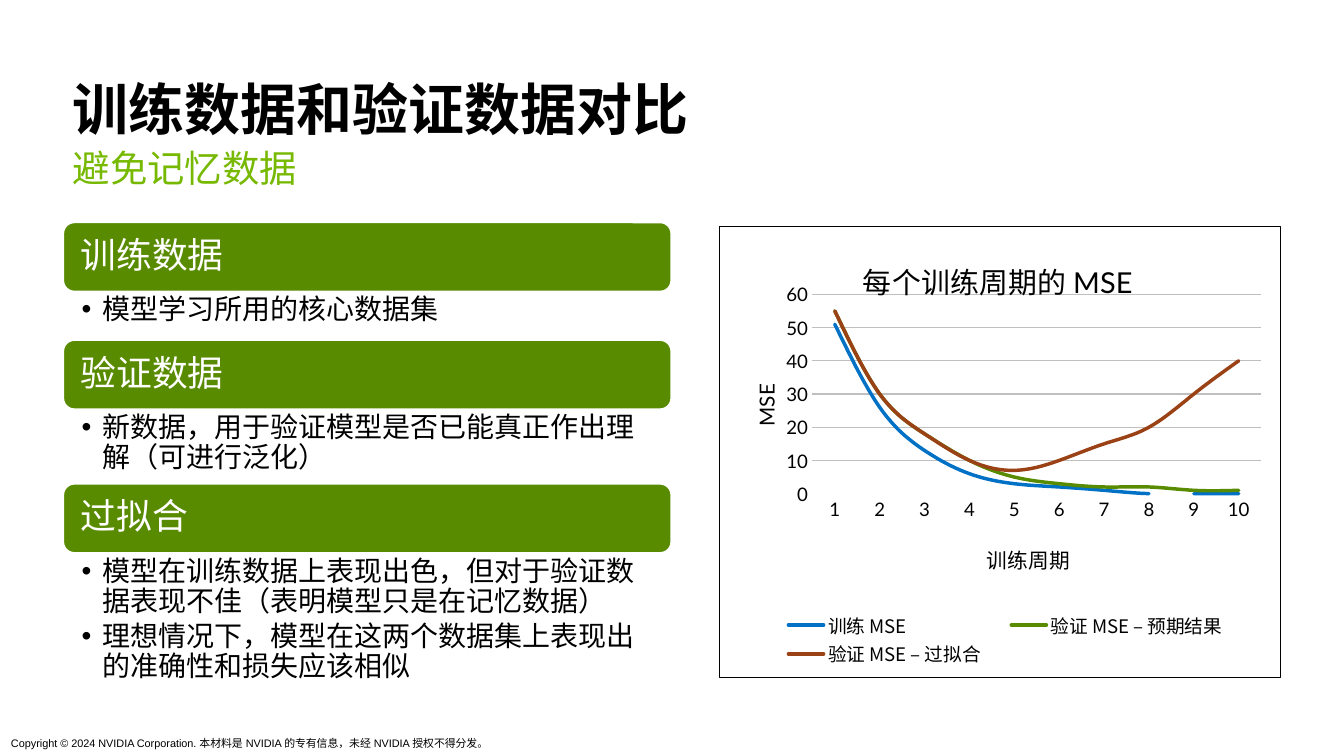
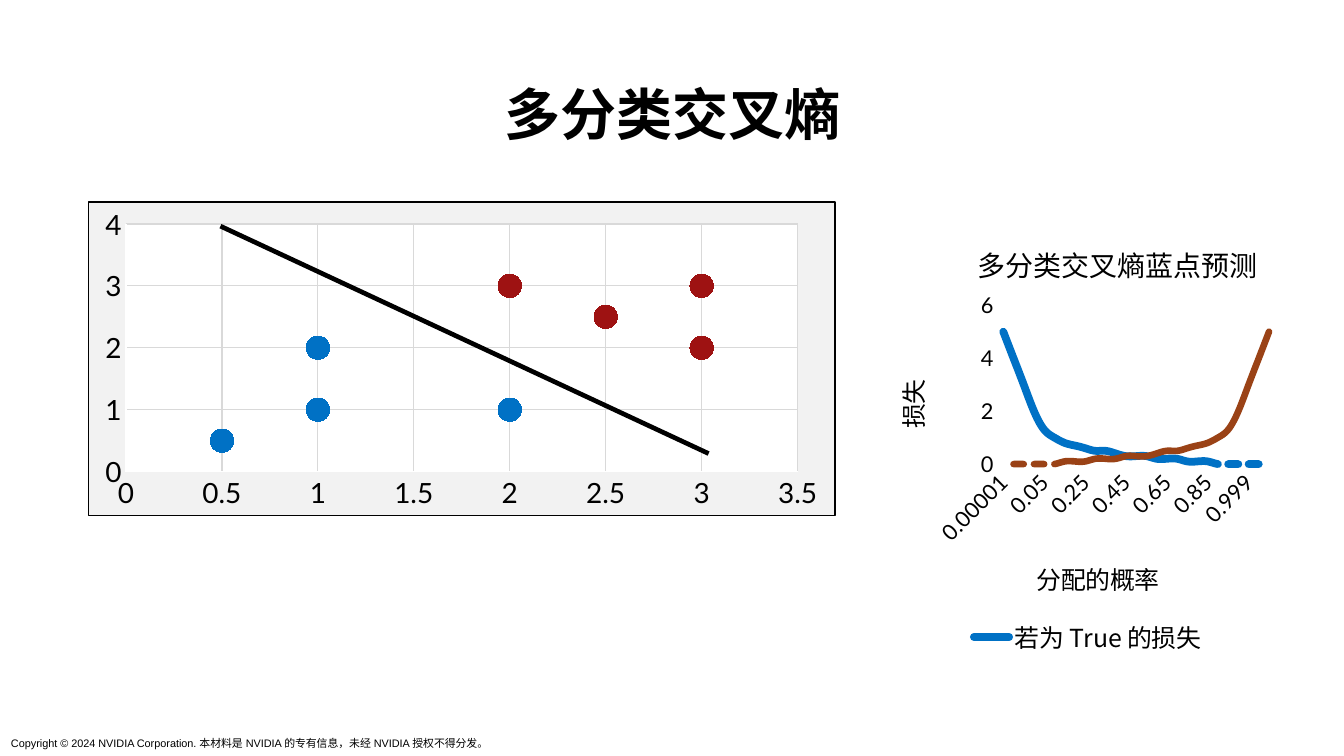
from lxml import etree
from pptx import Presentation
from pptx.chart.data import CategoryChartData, XyChartData
from pptx.dml.color import RGBColor
from pptx.enum.chart import XL_CHART_TYPE, XL_LEGEND_POSITION, XL_MARKER_STYLE, XL_TICK_MARK
from pptx.enum.shapes import MSO_CONNECTOR, MSO_SHAPE
from pptx.enum.text import MSO_ANCHOR, MSO_AUTO_SIZE, PP_ALIGN
from pptx.oxml import parse_xml
from pptx.oxml.ns import qn
from pptx.util import Cm, Pt

LINE, SCATTER = XL_CHART_TYPE.LINE, XL_CHART_TYPE.XY_SCATTER
NO_TICK, CIRCLE = XL_TICK_MARK.NONE, XL_MARKER_STYLE.CIRCLE
BOTTOM, MIDDLE, TOP = MSO_ANCHOR.BOTTOM, MSO_ANCHOR.MIDDLE, MSO_ANCHOR.TOP
LEFT, CENTER = PP_ALIGN.LEFT, PP_ALIGN.CENTER

BLACK, WHITE, GRAY = "000000", "FFFFFF", "BFBFBF"
LIME, GREEN, BLUE, BROWN, RED = "76B900", "598B00", "0071C5", "9A4216", "9E1212"
LATO, NOTO = "Lato", "Noto Sans CJK SC"
FOOTER = "Copyright © 2024 NVIDIA Corporation. 本材料是 NVIDIA 的专有信息，未经 NVIDIA 授权不得分发。"
NS = ('xmlns:c="http://schemas.openxmlformats.org/drawingml/2006/chart" '
      'xmlns:a="http://schemas.openxmlformats.org/drawingml/2006/main"')

SECTIONS = [
    ("训练数据", 1.07, ["模型学习所用的核心数据集"]),
    ("验证数据", 1.66, ["新数据，用于验证模型是否已能真正作出理解（可进行泛化）"]),
    ("过拟合", 3.3, ["模型在训练数据上表现出色，但对于验证数据表现不佳（表明模型只是在记忆数据）",
                  "理想情况下，模型在这两个数据集上表现出的准确性和损失应该相似"]),
]
MSE_SERIES = [
    ("训练 MSE", BLUE, 2.25, [51, 26, 13, 6, 3, 2, 1, 0, 0, 0]),
    ("验证 MSE – 预期结果", GREEN, 2.25, [55, 30, 18, 10, 5, 3, 2, 2, 1, 1]),
    ("验证 MSE – 过拟合", BROWN, 2.25, [55, 30, 18, 10, 7, 10, 15, 20, 30, 40]),
]
PROBABILITIES = (["0.00001", "0.0001", "0.001", "0.01"]
                 + [f"{i / 20:g}" for i in range(1, 20)]
                 + ["0.99", "0.999", "0.9999", "0.99999"])
LOSS_IF_TRUE = [5, 4, 3, 2, 1.3, 1, 0.8, 0.7, 0.6, 0.5, 0.5, 0.4, 0.3, 0.3,
                0.3, 0.2, 0.2, 0.2, 0.1, 0.1, 0.1, 0, 0, 0, 0, 0, 0]
LOSS_SERIES = [
    ("若为 True 的损失", BLUE, 5, LOSS_IF_TRUE),
    ("若为 False 的损失", BROWN, 4.25, LOSS_IF_TRUE[::-1]),
]
POINT_SERIES = [
    ("Series 1", BLUE, [(1, 1), (1, 2), (2, 1), (0.5, 0.5)]),
    ("Series 2", RED, [(2, 3), (3, 3), (3, 2), (2.5, 2.5)]),
]


def rgb(color):
    return RGBColor.from_string(color)


def set_font(font, size, color=BLACK, name=LATO, bold=False):
    font.size, font.bold, font.name = Pt(size), bold, name
    font.color.rgb = rgb(color)
    etree.SubElement(font._rPr, qn("a:ea"), typeface=name)


def set_line(line, color, width=0.75):
    line.color.rgb = rgb(color)
    line.width = Pt(width)


def add_run(p, text, *font, **options):
    r = p.add_run()
    r.text = text
    set_font(r.font, *font, **options)


def set_frame(tf, anchor=TOP, insets=(0.25, 0.13, 0.25, 0.13)):
    tf.word_wrap, tf.auto_size, tf.vertical_anchor = True, MSO_AUTO_SIZE.NONE, anchor
    tf.margin_left, tf.margin_top, tf.margin_right, tf.margin_bottom = map(Cm, insets)
    return tf


def add_text(slide, box, text, size, color=BLACK, name=LATO, spacing=0.9):
    tf = set_frame(slide.shapes.add_textbox(*map(Cm, box)).text_frame)
    p = tf.paragraphs[0]
    p.line_spacing = spacing
    add_run(p, text, size, color, name)


def add_slide(prs, title, box, align):
    """Add a title-only slide with the shared title style and footer."""
    slide = prs.slides.add_slide(prs.slide_layouts[5])
    sp = slide.shapes.title
    sp.left, sp.top, sp.width, sp.height = map(Cm, box)
    p = set_frame(sp.text_frame, BOTTOM).paragraphs[0]
    p.alignment, p.line_spacing = align, 0.9
    add_run(p, title, 36, bold=True)
    add_text(slide, (0, 16.59, 11.5, 0.56), FOOTER, 7, name="Arial", spacing=1)
    return slide


def add_bullet(p, text):
    pPr = p._p.get_or_add_pPr()
    pPr.set("marL", str(Cm(0.48)))
    pPr.set("indent", str(-Cm(0.48)))
    p.line_spacing, p.space_after = 0.9, Pt(3)
    etree.SubElement(etree.SubElement(pPr, qn("a:buClr")), qn("a:srgbClr"), val=BLACK)
    etree.SubElement(pPr, qn("a:buFont"), typeface="Arial")
    etree.SubElement(pPr, qn("a:buChar"), char="•")
    add_run(p, text, 18)


def add_sections(slide, box):
    """Stack green headers, each followed by its bullets, from the top of the box."""
    x, y, w, header_h = box
    for heading, body_h, bullets in SECTIONS:
        sp = slide.shapes.add_shape(MSO_SHAPE.ROUNDED_RECTANGLE, *map(Cm, (x, y, w, header_h)))
        sp.shadow.inherit = False
        sp.fill.solid()
        sp.fill.fore_color.rgb = rgb(GREEN)
        set_line(sp.line, WHITE, 2)
        p = set_frame(sp.text_frame, MIDDLE, (0.33, 0.25, 0.33, 0.25)).paragraphs[0]
        p.alignment, p.line_spacing = LEFT, 0.9
        add_run(p, heading, 23, WHITE)
        y += header_h
        body = slide.shapes.add_textbox(*map(Cm, (x, y, w, body_h)))
        tf = set_frame(body.text_frame, insets=(0.43, 0.08, 0.46, 0.08))
        for i, text in enumerate(bullets):
            add_bullet(tf.add_paragraph() if i else tf.paragraphs[0], text)
        y += body_h


def place(element, x, y, w=None, h=None):
    """Give a chart part a manual layout, as fractions of the chart."""
    for old in element.findall(qn("c:layout")):
        element.remove(old)
    inner = '<c:layoutTarget val="inner"/>' if element.tag == qn("c:plotArea") else ""
    sizes = "".join(f'<c:{k} val="{v}"/>' for k, v in (("w", w), ("h", h)) if v)
    layout = parse_xml(
        f'<c:layout {NS}><c:manualLayout>{inner}<c:xMode val="edge"/><c:yMode val="edge"/>'
        f'<c:x val="{x}"/><c:y val="{y}"/>{sizes}</c:manualLayout></c:layout>')
    before = [e for tag in ("tx", "legendPos", "legendEntry") for e in element.findall(qn("c:" + tag))]
    element.insert(len(before), layout)


def area_format(fill, border=None):
    paint = f'<a:solidFill><a:srgbClr val="{fill}"/></a:solidFill>' if fill else "<a:noFill/>"
    line = f'<a:solidFill><a:srgbClr val="{border}"/></a:solidFill>' if border else "<a:noFill/>"
    return parse_xml(f'<c:spPr {NS}>{paint}<a:ln w="{Pt(0.75)}">{line}</a:ln></c:spPr>')


def add_chart(slide, kind, box, data, plot, fill=None, border=None):
    chart = slide.shapes.add_chart(kind, *map(Cm, box), data).chart
    set_font(chart.font, 10)
    chart.has_title = chart.has_legend = False
    chart.plots[0].vary_by_categories = False
    c_chart = chart._chartSpace.chart
    c_chart.addnext(area_format(fill, border))
    place(c_chart.plotArea, *plot)
    return chart


def style_axis(axis, size, line=None, grid=None, top=None, step=None):
    axis.major_tick_mark = axis.minor_tick_mark = NO_TICK
    set_font(axis.tick_labels.font, size)
    if line:
        set_line(axis.format.line, line)
    else:
        axis.format.line.fill.background()
    axis.has_major_gridlines = grid is not None
    if grid:
        set_line(axis.major_gridlines.format.line, grid)
    if top:
        axis.minimum_scale, axis.maximum_scale, axis.major_unit = 0, top, step


def set_title(title, runs, size, position, rotation=0):
    tf = title.text_frame
    for text, name in runs:
        add_run(tf.paragraphs[0], text, size, name=name)
    tf._txBody.bodyPr.set("rot", str(rotation * 60000))
    place(title._element, *position)


def add_curves(slide, box, categories, series, plot, border=None):
    data = CategoryChartData()
    data.categories = categories
    for name, _, _, values in series:
        data.add_series(name, values)
    chart = add_chart(slide, LINE, box, data, plot, border=border)
    for s, (_, color, width, _) in zip(chart.plots[0].series, series):
        s.smooth = True
        set_line(s.format.line, color, width)
        s.format.line._get_or_add_ln().set("cap", "rnd")
    return chart


def add_legend(chart, size, position):
    chart.has_legend = True
    legend = chart.legend
    legend.position, legend.include_in_layout = XL_LEGEND_POSITION.BOTTOM, False
    set_font(legend.font, size, name=NOTO)
    place(legend._element, *position)


def add_mse_chart(slide, box):
    chart = add_curves(slide, box, [str(i) for i in range(1, 11)], MSE_SERIES,
                       (0.166, 0.15, 0.8, 0.442), BLACK)
    epochs, mse = chart.category_axis, chart.value_axis
    style_axis(epochs, 12, WHITE)
    style_axis(mse, 12, grid=GRAY, top=60, step=10)
    set_title(chart.chart_title, [("每个训练周期的 ", NOTO), ("MSE", LATO)], 18.6, (0.25, 0.06))
    set_title(epochs.axis_title, [("训练周期", NOTO)], 13.3, (0.47, 0.69))
    set_title(mse.axis_title, [("MSE", LATO)], 13.3, (0.05, 0.34), -90)
    add_legend(chart, 12, (0.08, 0.85, 0.86, 0.13))


def add_loss_chart(slide, box):
    chart = add_curves(slide, box, PROBABILITIES, LOSS_SERIES, (0.33, 0.21, 0.65, 0.34))
    probability, loss = chart.category_axis, chart.value_axis
    style_axis(probability, 14, WHITE)
    style_axis(loss, 14, grid=WHITE, top=6, step=2)
    axis = probability._element
    axis.txPr.bodyPr.set("rot", str(-45 * 60000))
    axis.find(qn("c:noMultiLvlLbl")).addprevious(parse_xml(f'<c:tickLblSkip {NS} val="4"/>'))
    set_title(chart.chart_title, [("多分类交叉熵蓝点预测", NOTO)], 18, (0.27, 0.06))
    set_title(probability.axis_title, [("分配的概率", LATO)], 16, (0.41, 0.75))
    set_title(loss.axis_title, [("损失", NOTO)], 16, (0.07, 0.36), -90)
    add_legend(chart, 16, (0.23, 0.88, 0.62, 0.08))
    chart.legend._element.find(qn("c:legendPos")).addnext(parse_xml(
        f'<c:legendEntry {NS}><c:idx val="1"/><c:delete val="1"/></c:legendEntry>'))


def add_point_chart(slide, box):
    """Scatter the two classes and draw the line that separates them."""
    data = XyChartData()
    for name, _, points in POINT_SERIES:
        s = data.add_series(name)
        for x, y in points:
            s.add_data_point(x, y)
    chart = add_chart(slide, SCATTER, box, data, (0.05, 0.07, 0.9, 0.79), "F2F2F2", BLACK)
    chart._chartSpace.chart.plotArea.append(area_format(WHITE))
    style_axis(chart.category_axis, 18, WHITE, "D9D9D9", 3.5, 0.5)
    style_axis(chart.value_axis, 18, WHITE, "D9D9D9", 4, 1)
    for s, (_, color, _) in zip(chart.plots[0].series, POINT_SERIES):
        s.format.line.fill.background()
        s.marker.style, s.marker.size = CIRCLE, 15
        s.marker.format.fill.solid()
        s.marker.format.fill.fore_color.rgb = rgb(color)
        set_line(s.marker.format.line, color)

    left, top = box[:2]
    ends = left + 3, top + 0.56, left + 14.07, top + 5.72
    boundary = slide.shapes.add_connector(MSO_CONNECTOR.STRAIGHT, *map(Cm, ends))
    set_line(boundary.line, BLACK, 3)
    etree.SubElement(boundary._element.spPr, qn("a:effectLst"))


def main():
    prs = Presentation()
    prs.slide_width, prs.slide_height = Cm(30.48), Cm(17.15)

    slide = add_slide(prs, "训练数据和验证数据对比", (1.4, 1.63, 16.46, 1.73), LEFT)
    add_text(slide, (1.4, 3.28, 16.46, 1.45), "避免记忆数据", 24, LIME)
    add_sections(slide, (1.42, 5.03, 13.82, 1.6))
    add_mse_chart(slide, (16.3, 5.13, 12.75, 10.26))

    slide = add_slide(prs, "多分类交叉熵", (1.4, 1.83, 27.71, 1.65), CENTER)
    add_point_chart(slide, (2, 4.57, 16.95, 7.14))
    add_loss_chart(slide, (19.46, 4.7, 9.63, 10.6))

    prs.save("out.pptx")


if __name__ == "__main__":
    main()
